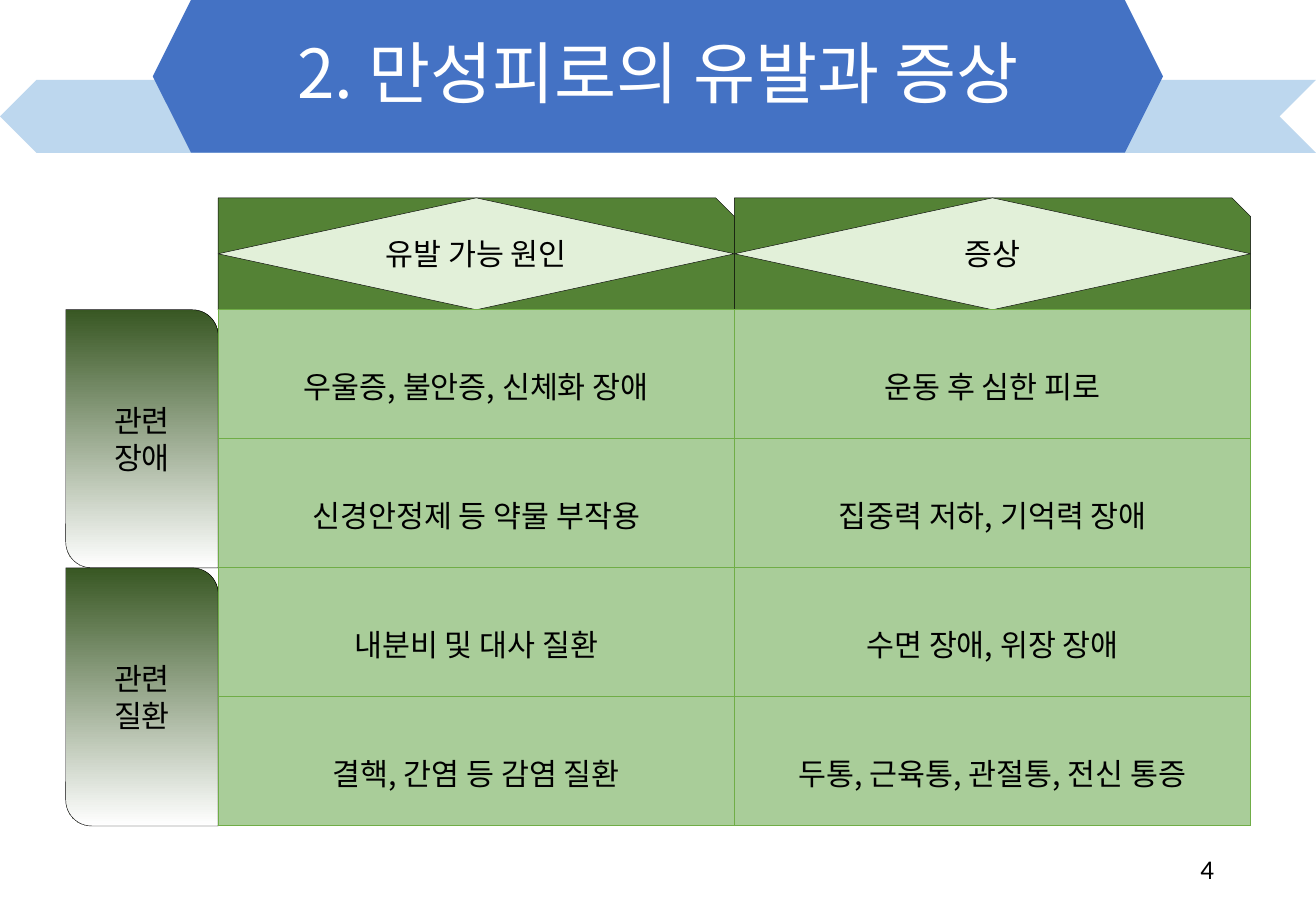
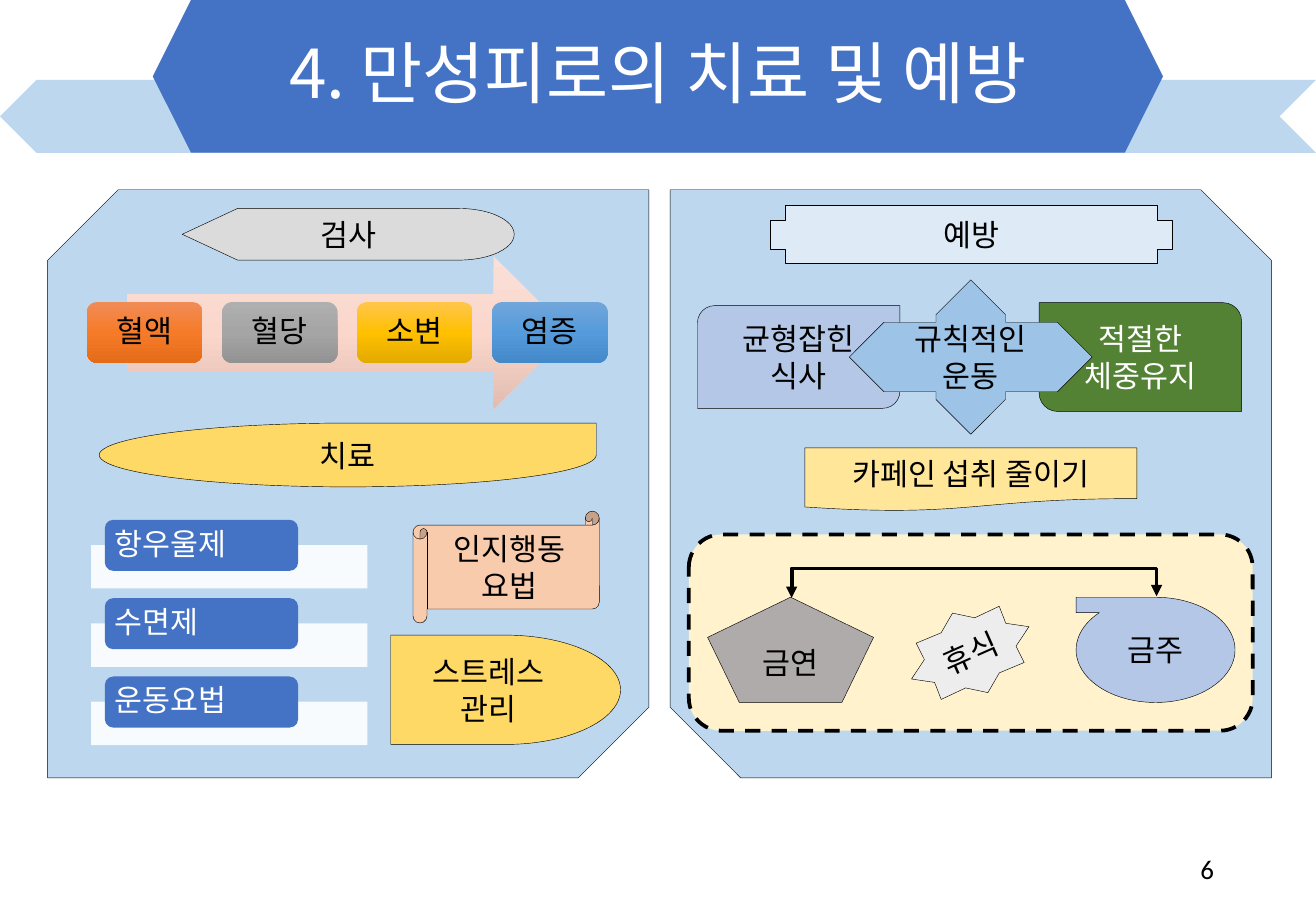
from copy import deepcopy

from lxml.etree import SubElement
from pptx import Presentation
from pptx.dml.color import RGBColor
from pptx.enum.dml import MSO_LINE
from pptx.enum.shapes import MSO_CONNECTOR, MSO_SHAPE
from pptx.enum.text import MSO_ANCHOR, PP_ALIGN
from pptx.oxml.ns import qn
from pptx.util import Emu, Inches, Pt

BLACK = RGBColor(0x00, 0x00, 0x00)
WHITE = RGBColor(0xFF, 0xFF, 0xFF)
BLUE = RGBColor(0x44, 0x72, 0xC4)
SKY = RGBColor(0xBD, 0xD7, 0xEE)
MID_BLUE = RGBColor(0x9D, 0xC3, 0xE6)
PALE_BLUE = RGBColor(0xDE, 0xEB, 0xF7)
LAVENDER = RGBColor(0xB4, 0xC7, 0xE7)
GREEN = RGBColor(0x54, 0x82, 0x35)
DARK_GREEN = RGBColor(0x38, 0x57, 0x23)
PALE_GREEN = RGBColor(0xE2, 0xF0, 0xD9)
CELL_GREEN = RGBColor(0xA9, 0xCD, 0x99)
BORDER_GREEN = RGBColor(0x70, 0xAD, 0x47)
GOLD = RGBColor(0xFF, 0xD9, 0x66)
PALE_GOLD = RGBColor(0xFF, 0xE6, 0x99)
CREAM = RGBColor(0xFF, 0xF2, 0xCC)
PEACH = RGBColor(0xF8, 0xCB, 0xAD)
SILVER = RGBColor(0xDB, 0xDB, 0xDB)
PALE_GRAY = RGBColor(0xED, 0xED, 0xED)
WARM_GRAY = RGBColor(0xAF, 0xAB, 0xAB)
ARROW_PINKS = (RGBColor(0xFA, 0xE0, 0xD8), RGBColor(0xFA, 0xD6, 0xCB), RGBColor(0xE2, 0xBC, 0xB1))
TEST_ORANGES = (RGBColor(0xF1, 0x8C, 0x57), RGBColor(0xF6, 0x7B, 0x28), RGBColor(0xE5, 0x6C, 0x19))
TEST_GRAYS = (RGBColor(0xAF, 0xAF, 0xAF), RGBColor(0xA5, 0xA5, 0xA5), RGBColor(0x93, 0x93, 0x93))
TEST_YELLOWS = (RGBColor(0xFF, 0xC6, 0x4B), RGBColor(0xFF, 0xC0, 0x00), RGBColor(0xE3, 0xAB, 0x00))
TEST_BLUES = (RGBColor(0x71, 0xA6, 0xDB), RGBColor(0x55, 0x9B, 0xDB), RGBColor(0x44, 0x8A, 0xCA))

COLUMNS, ROWS = 130, 90
GRID = Inches(1) / 12
KOREAN = "Noto Sans CJK KR"
HAIRLINE = 0.25


def grid(*lengths):
    return [Emu(round(length * GRID)) for length in lengths]


class Deck:
    def __init__(self):
        self.deck = Presentation()
        self.deck.slide_width, self.deck.slide_height = grid(COLUMNS, ROWS)
        self.page = None

    def new_page(self, title, number):
        self.page = self.deck.slides.add_slide(self.deck.slide_layouts[6])
        self.shape(MSO_SHAPE.CHEVRON, (0, 7.9, COLUMNS, 7.2), SKY, line=0, rotation=180)
        self.shape(MSO_SHAPE.HEXAGON, (15.1, 0, 99.8, 15.1), BLUE, line=0)
        self.text((91.8, 83.4, 29.3, 4.8), number, size=16, font="Calibri", align=PP_ALIGN.RIGHT)
        self.text((0, 0, COLUMNS, 15.1), title, WHITE, size=40, spacing=0.9)

    def fill_frame(self, frame, text, color=BLACK, size=18, font=KOREAN,
                   align=PP_ALIGN.CENTER, spacing=None):
        frame.text = text
        for para in frame.paragraphs:
            para.alignment = align
            para.line_spacing = spacing
            para.font.size = Pt(size)
            para.font.color.rgb = color
            para.font.name = font
            SubElement(para.font._element, qn("a:ea"), typeface=font)

    def text(self, box, text, color=BLACK, wrap=True, **style):
        frame = self.page.shapes.add_textbox(*grid(*box)).text_frame
        frame.word_wrap = wrap
        frame.vertical_anchor = MSO_ANCHOR.MIDDLE
        self.fill_frame(frame, text, color, **style)

    def shape(self, kind, box, fill, text="", color=BLACK, line=HAIRLINE, dash=None,
              adjust=(), rotation=0, inset=None, **style):
        shape = self.page.shapes.add_shape(kind, *grid(*box))
        shape.shadow.inherit = False
        shape.rotation = rotation
        for index, value in enumerate(adjust):
            shape.adjustments[index] = value
        if isinstance(fill, tuple) and not isinstance(fill, RGBColor):
            self.gradient(shape, fill)
        else:
            shape.fill.solid()
            shape.fill.fore_color.rgb = fill
        if line:
            shape.line.color.rgb = BLACK
            shape.line.width = Pt(line)
            shape.line.dash_style = dash
        else:
            shape.line.fill.background()
        if text:
            frame = shape.text_frame
            frame.vertical_anchor = MSO_ANCHOR.MIDDLE
            if inset:
                frame.margin_left = frame.margin_right = Inches(inset[0])
                frame.margin_top = frame.margin_bottom = Inches(inset[1])
            self.fill_frame(frame, text, color, **style)
        return shape

    def gradient(self, shape, colors):
        shape.fill.gradient()
        shape.fill.gradient_angle = 270
        stop_list = shape._element.spPr.find(qn("a:gradFill")).find(qn("a:gsLst"))
        for _ in colors[2:]:
            stop_list.append(deepcopy(stop_list[0]))
        for index, (stop, color) in enumerate(zip(shape.fill.gradient_stops, colors)):
            stop.color.rgb = color
            stop.position = index / (len(colors) - 1)

    def bar(self, box, color, opacity):
        bar = self.shape(MSO_SHAPE.RECTANGLE, box, color, line=0)
        value = bar._element.spPr.find(qn("a:solidFill"))[0]
        SubElement(value, qn("a:alpha"), val=str(opacity * 1000))

    def table(self, left, top, column, row, lines):
        size = grid(left, top, column * len(lines[0]), row * len(lines))
        table = self.page.shapes.add_table(len(lines), len(lines[0]), *size).table
        table.first_row = table.horz_banding = False
        for row_index, line in enumerate(lines):
            for column_index, text in enumerate(line):
                cell = table.cell(row_index, column_index)
                cell.vertical_anchor = MSO_ANCHOR.MIDDLE
                properties = cell._tc.get_or_add_tcPr()
                for side in ("lnL", "lnR", "lnT", "lnB"):
                    border = SubElement(properties, qn("a:" + side), w=str(int(Pt(0.5))))
                    fill = SubElement(border, qn("a:solidFill"))
                    SubElement(fill, qn("a:srgbClr"), val=str(BORDER_GREEN))
                cell.fill.solid()
                cell.fill.fore_color.rgb = CELL_GREEN
                self.fill_frame(cell.text_frame, text, spacing=1.5)

    def bracket_arrow(self, left, right, bottom, rise):
        middle, half, drop = (left + right) / 2, (right - left) / 2, 0.16
        ends = grid(middle + drop / 2, bottom + half, middle - drop / 2, bottom - half)
        arrow = self.page.shapes.add_connector(MSO_CONNECTOR.ELBOW, *ends)
        arrow.line.color.rgb = BLACK
        arrow.line.width = Pt(2.25)
        properties = arrow._element.spPr
        properties.find(qn("a:xfrm")).set("rot", "5400000")
        guides = properties.find(qn("a:prstGeom")).find(qn("a:avLst"))
        SubElement(guides, qn("a:gd"), name="adj1", fmla=f"val {round(rise / drop * 100000)}")
        for end in ("headEnd", "tailEnd"):
            SubElement(properties.find(qn("a:ln")), qn("a:" + end), type="triangle")
        SubElement(properties, qn("a:effectLst"))


def causes_page(deck):
    deck.new_page("2. 만성피로의 유발과 증상", "4")
    left, top, column, row = 21.55, 30.6, 51, 12.75
    for index, text in enumerate(("유발 가능 원인", "증상")):
        box = (left + index * column, top - 11.05, column, 11.05)
        deck.shape(MSO_SHAPE.SNIP_1_RECTANGLE, box, GREEN)
        deck.shape(MSO_SHAPE.DIAMOND, box, PALE_GREEN, text)
    for index, text in enumerate(("관련\n장애", "관련\n질환")):
        box = (6.5, top + index * 2 * row, left - 6.5, 2 * row)
        deck.shape(MSO_SHAPE.ROUND_2_DIAG_RECTANGLE, box, (DARK_GREEN, WHITE), text,
                   adjust=(0, 0.17))
    deck.table(left, top, column, row, (
        ("우울증, 불안증, 신체화 장애", "운동 후 심한 피로"),
        ("신경안정제 등 약물 부작용", "집중력 저하, 기억력 장애"),
        ("내분비 및 대사 질환", "수면 장애, 위장 장애"),
        ("결핵, 간염 등 감염 질환", "두통, 근육통, 관절통, 전신 통증"),
    ))


def treatment_panel(deck):
    deck.shape(MSO_SHAPE.SNIP_2_DIAG_RECTANGLE, (4.7, 18.75, 59.4, 58.1), SKY, adjust=(0.12, 0))
    for index, text in enumerate(("항우울제", "수면제", "운동요법")):
        top = 51.35 + index * 7.74
        deck.bar((9, top + 2.5, 27.3, 4.3), WHITE, 90)
        deck.shape(MSO_SHAPE.ROUNDED_RECTANGLE, (10.35, top, 19.1, 5.05), BLUE, text, WHITE,
                   line=0, inset=(0.06, 0), align=PP_ALIGN.LEFT, spacing=0.9)
    deck.shape(MSO_SHAPE.FLOWCHART_DISPLAY, (18, 20.6, 32.8, 5.1), SILVER, "검사")
    deck.shape(MSO_SHAPE.RIGHT_ARROW, (12.5, 25.3, 43.8, 15.1), ARROW_PINKS, line=0)
    tests = (("혈액", TEST_ORANGES), ("혈당", TEST_GRAYS), ("소변", TEST_YELLOWS), ("염증", TEST_BLUES))
    for index, (text, colors) in enumerate(tests):
        deck.shape(MSO_SHAPE.ROUNDED_RECTANGLE, (8.6 + index * 13.34, 29.85, 11.4, 6), colors,
                   text, line=0, inset=(0.07, 0.07), spacing=0.9)
    deck.shape(MSO_SHAPE.TEAR, (9.8, 41.8, 49.1, 6.3), GOLD, "치료")
    deck.shape(MSO_SHAPE.HORIZONTAL_SCROLL, (40.8, 50.5, 18.4, 11.05), PEACH, "인지행동\n요법")
    deck.shape(MSO_SHAPE.FLOWCHART_DELAY, (38.6, 62.75, 22.7, 10.8), GOLD, "스트레스\n관리")


def prevention_panel(deck):
    deck.shape(MSO_SHAPE.SNIP_2_DIAG_RECTANGLE, (66.2, 18.75, 59.4, 58.1), SKY, adjust=(0, 0.12))
    deck.shape(MSO_SHAPE.FLOWCHART_ALTERNATE_PROCESS, (68.05, 52.8, 55.7, 19.4), CREAM,
               line=2.25, dash=MSO_LINE.DASH)
    deck.shape(MSO_SHAPE.STAR_8_POINT, (89.5, 60.2, 12.7, 8.6), PALE_GRAY, "휴식", rotation=336)
    deck.shape(MSO_SHAPE.FLOWCHART_SEQUENTIAL_ACCESS_STORAGE, (106.3, 59, 15.7, 10.4), LAVENDER,
               rotation=180)
    deck.shape(MSO_SHAPE.REGULAR_PENTAGON, (69.9, 59, 16.4, 10.4), WARM_GRAY, "금연")
    deck.shape(MSO_SHAPE.ROUND_2_DIAG_RECTANGLE, (68.9, 30.2, 20, 10.15), LAVENDER, "균형잡힌 식사")
    deck.shape(MSO_SHAPE.CROSS, (76.1, 20.3, 39.7, 5.75), PALE_BLUE, "예방")
    deck.text((109.9, 61.8, 8.5, 4.8), "금주", wrap=False)
    deck.shape(MSO_SHAPE.FLOWCHART_DOCUMENT, (79.5, 44.25, 32.8, 6.25), PALE_GOLD, "카페인 섭취 줄이기")
    deck.shape(MSO_SHAPE.ROUND_2_DIAG_RECTANGLE, (102.65, 29.9, 20, 10.75), GREEN, "적절한 체중유지",
               WHITE, adjust=(0, 0.17))
    deck.bracket_arrow(78.2, 114.25, 59, 2.9)
    deck.shape(MSO_SHAPE.QUAD_ARROW, (83.9, 27.65, 24, 15.25), MID_BLUE, "규칙적인\n운동",
               adjust=(0.45, 0.225, 0.225))


def main():
    deck = Deck()
    causes_page(deck)
    deck.new_page("4. 만성피로의 치료 및 예방", "6")
    treatment_panel(deck)
    prevention_panel(deck)
    deck.deck.save("out.pptx")


if __name__ == "__main__":
    main()
